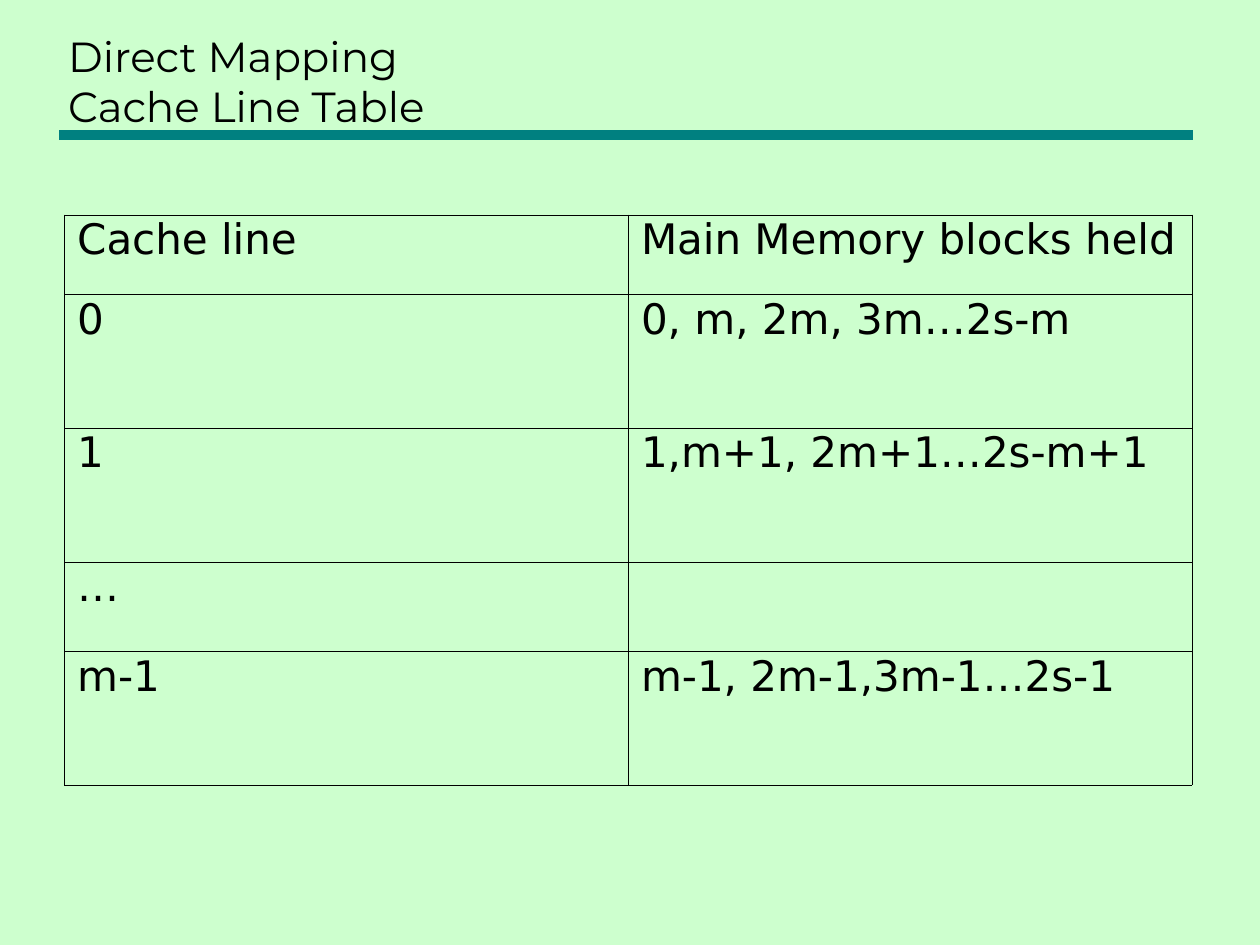
import pptx
import pptx.util
import pptx.dml.color
import pptx.enum.text
import pptx.enum.shapes
import pptx.oxml.ns
import lxml.etree

Pt = pptx.util.Pt
qn = pptx.oxml.ns.qn
HUES = {"back": "CDFFCE", "rule": "008080", "ink": "000000"}
ROWS = [
    ("Cache line", "Main Memory blocks held"),
    ("0", "0, m, 2m, 3m…2s-m"),
    ("1", "1,m+1, 2m+1…2s-m+1"),
    ("…", ""),
    ("m-1", "m-1, 2m-1,3m-1…2s-1"),
]
HIGH = [45.36, 76.5, 76.5, 51, 76.5]
LEFT, TOP, COL = 36.9, 122.76, 322.2


def hue(name):
    return pptx.dml.color.RGBColor.from_string(HUES[name])


def style(para, face):
    para.font.name = face
    para.font.size = Pt(24)
    para.font.color.rgb = hue("ink")


def add_rule(slide):
    line = slide.shapes.add_connector(
        pptx.enum.shapes.MSO_CONNECTOR.STRAIGHT,
        Pt(36.9), Pt(77.2), Pt(679), Pt(77.2))
    line.line.width = Pt(6)
    line.line.color.rgb = hue("rule")
    props = line._element.spPr
    props.find(qn("a:ln")).set("cap", "sq")
    lxml.etree.SubElement(props, qn("a:effectLst"))


def add_title(slide, text):
    title = slide.shapes.title
    title.left, title.top = Pt(31.7), Pt(12.2)
    title.width, title.height = Pt(645.8), Pt(66.2)
    frame = title.text_frame
    frame.text = text
    frame.word_wrap = True
    frame.auto_size = pptx.enum.text.MSO_AUTO_SIZE.NONE
    frame.vertical_anchor = pptx.enum.text.MSO_ANCHOR.BOTTOM
    para = frame.paragraphs[0]
    para.alignment = pptx.enum.text.PP_ALIGN.LEFT
    style(para, "Montserrat")


def add_edges(cell):
    # Borders come before the fill in the cell properties
    props = cell._tc.get_or_add_tcPr()
    for spot, side in enumerate(("lnL", "lnR", "lnT", "lnB")):
        edge = lxml.etree.Element(qn("a:" + side), w=str(Pt(0.06)))
        fill = lxml.etree.SubElement(edge, qn("a:solidFill"))
        lxml.etree.SubElement(fill, qn("a:srgbClr"), val=HUES["ink"])
        props.insert(spot, edge)


def add_grid(slide):
    grid = slide.shapes.add_table(
        len(ROWS), 2, Pt(LEFT), Pt(TOP), Pt(2 * COL), Pt(sum(HIGH))).table
    grid.first_row = grid.horz_banding = False
    for col in grid.columns:
        col.width = Pt(COL)
    for row, high, texts in zip(grid.rows, HIGH, ROWS):
        row.height = Pt(high)
        for cell, text in zip(row.cells, texts):
            cell.text = text
            cell.fill.background()
            add_edges(cell)
            para = cell.text_frame.paragraphs[0]
            para.line_spacing = 0.86
            para.space_before = Pt(6)
            style(para, "DejaVu Sans")


def main():
    deck = pptx.Presentation()
    deck.slide_width, deck.slide_height = Pt(720), Pt(540)
    slide = deck.slides.add_slide(deck.slide_layouts[5])
    slide.background.fill.solid()
    slide.background.fill.fore_color.rgb = hue("back")
    add_rule(slide)
    add_title(slide, "Direct Mapping \vCache Line Table")
    add_grid(slide)
    deck.save("out.pptx")


if __name__ == "__main__":
    main()
